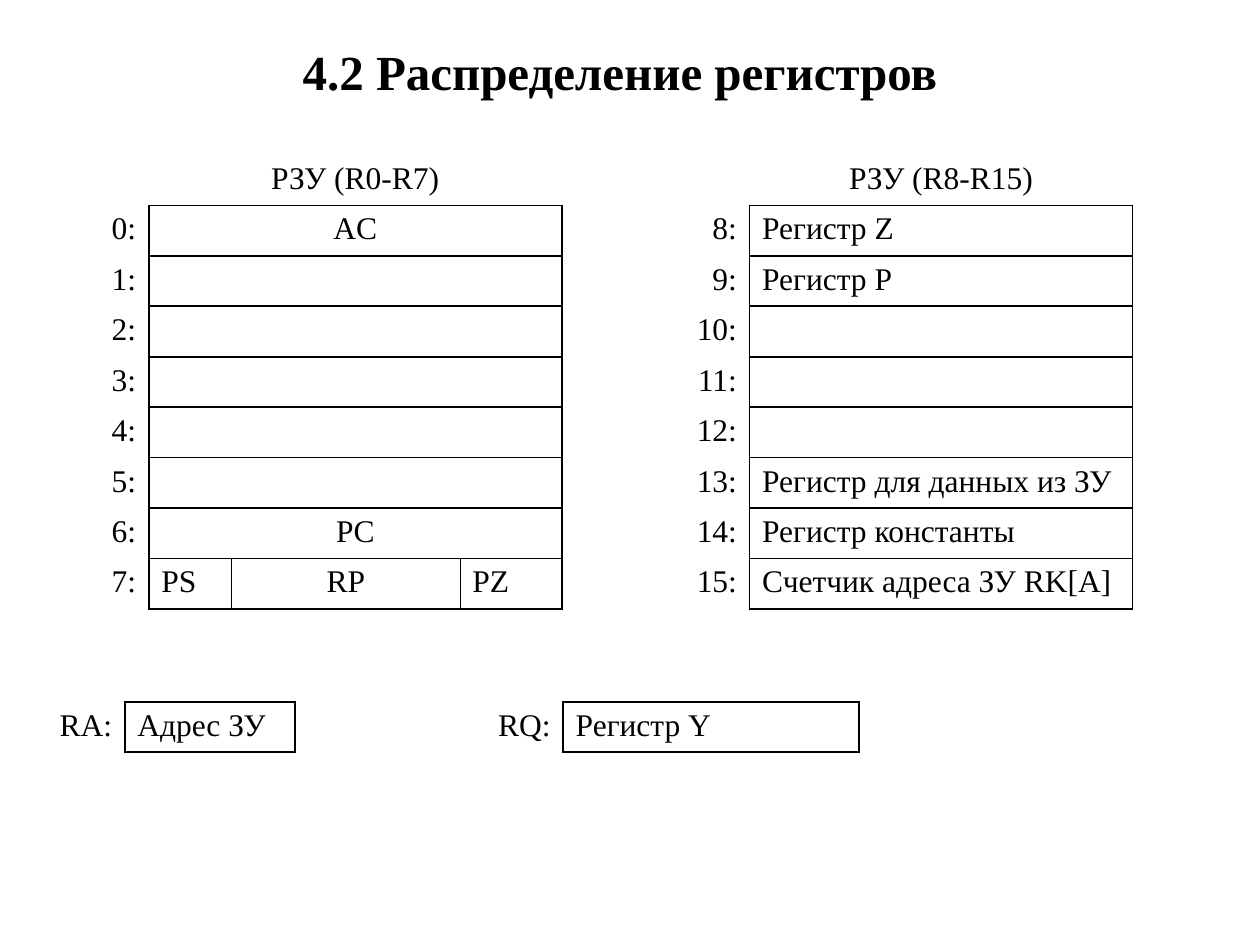
from lxml import etree
from pptx import Presentation
from pptx import util as u
from pptx.dml.color import RGBColor
from pptx.enum import text
from pptx.oxml.ns import qn

BLACK = RGBColor(0, 0, 0)
FONT = "Times New Roman"
NO_STYLE = "{2D5ABB26-0587-4C30-8999-92F81FD0307C}"
LEFT, CENTER, RIGHT = text.PP_ALIGN.LEFT, text.PP_ALIGN.CENTER, text.PP_ALIGN.RIGHT
FRAME, THIN = 1.08, 0.45

TITLE = "4.2 Распределение регистров"
BANK_HEADERS = ("РЗУ (R0-R7)", "РЗУ (R8-R15)")
LOW_BANK = ["AC", "", "", "", "", "", "PC", ("PS", "RP", "PZ")]
HIGH_BANK = ["Регистр Z", "Регистр P", "", "", "", "Регистр для данных из ЗУ",
             "Регистр константы", "Счетчик адреса ЗУ RK[A]"]
SINGLE_REGISTERS = [("RA:", "Адрес ЗУ"), ("RQ:", "Регистр Y")]

ROW_HEIGHT = 0.4
BANK_COLUMNS = [0.61, 0.66, 1.81, 0.81, 0.67, 0.82, 3.04]
SINGLE_COLUMNS = [0.62, 1.35, 1.01, 0.46, 0.66, 2.35]
LOW_LABEL, LOW_FIRST, LOW_LAST, HIGH_LABEL, HIGH_VALUE = 0, 1, 3, 5, 6
SINGLE_LABELS = (0, 4)


def write(frame, content, size=18, bold=False, align=LEFT):
    paragraph = frame.paragraphs[0]
    paragraph.alignment = align
    run = paragraph.add_run()
    run.text = content
    run.font.name = FONT
    run.font.size = u.Pt(size)
    run.font.bold = bold
    run.font.color.rgb = BLACK


def add_grid(slide, left, top, columns, row_count):
    frame = slide.shapes.add_table(row_count, len(columns), u.Inches(left), u.Inches(top),
                                   u.Inches(sum(columns)), u.Inches(ROW_HEIGHT * row_count))
    table = frame.table
    table.first_row = table.horz_banding = False
    table._tbl.tblPr.find(qn("a:tableStyleId")).text = NO_STYLE
    for column, width in zip(table.columns, columns):
        column.width = u.Inches(width)
    for row in table.rows:
        row.height = u.Inches(ROW_HEIGHT)
        for cell in row.cells:
            cell.fill.background()
    return table


def outline(cell, left=FRAME, right=FRAME):
    properties = cell._tc.get_or_add_tcPr()
    widths = {"lnL": left, "lnR": right, "lnT": FRAME, "lnB": FRAME}
    for position, (edge, width) in enumerate(widths.items()):
        line = etree.Element(qn(f"a:{edge}"), w=str(u.Pt(width)))
        fill = etree.SubElement(line, qn("a:solidFill"))
        etree.SubElement(fill, qn("a:srgbClr"), val=str(BLACK))
        properties.insert(position, line)


def fill_cell(cell, content, align=LEFT, framed=True, **edges):
    if framed:
        outline(cell, **edges)
    if content:
        write(cell.text_frame, content, align=align)


def add_register_banks(slide):
    table = add_grid(slide, 0.57, 1.23, BANK_COLUMNS, len(LOW_BANK) + 2)
    for column, header in zip((LOW_FIRST, HIGH_VALUE), BANK_HEADERS):
        fill_cell(table.cell(0, column), header, align=CENTER, framed=False)
    table.cell(0, LOW_FIRST).merge(table.cell(0, LOW_LAST))

    for number, (low, high) in enumerate(zip(LOW_BANK, HIGH_BANK)):
        row = number + 1
        for column, register in ((LOW_LABEL, number), (HIGH_LABEL, number + len(LOW_BANK))):
            fill_cell(table.cell(row, column), f"{register}:", align=RIGHT, framed=False)
        fill_cell(table.cell(row, HIGH_VALUE), high)
        if isinstance(low, tuple):
            for column, field in enumerate(low, LOW_FIRST):
                fill_cell(table.cell(row, column), field,
                          align=LEFT if column in (LOW_FIRST, LOW_LAST) else CENTER,
                          left=FRAME if column == LOW_FIRST else THIN,
                          right=FRAME if column == LOW_LAST else THIN)
        else:
            fill_cell(table.cell(row, LOW_FIRST), low, align=CENTER)
            for column in range(LOW_FIRST + 1, LOW_LAST + 1):
                outline(table.cell(row, column))
            table.cell(row, LOW_FIRST).merge(table.cell(row, LOW_LAST))


def add_single_registers(slide):
    table = add_grid(slide, 0.37, 5.57, SINGLE_COLUMNS, 1)
    for column, (label, value) in zip(SINGLE_LABELS, SINGLE_REGISTERS):
        fill_cell(table.cell(0, column), label, align=RIGHT, framed=False)
        fill_cell(table.cell(0, column + 1), value)


def main():
    presentation = Presentation()
    presentation.slide_width, presentation.slide_height = u.Inches(10), u.Inches(7.5)
    slide = presentation.slides.add_slide(presentation.slide_layouts[6])
    title = slide.shapes.add_textbox(u.Inches(0.27), u.Inches(0.21), u.Inches(9.3), u.Inches(0.71))
    title.text_frame.word_wrap = True
    title.text_frame.vertical_anchor = text.MSO_ANCHOR.MIDDLE
    write(title.text_frame, TITLE, size=28, bold=True, align=CENTER)
    add_register_banks(slide)
    add_single_registers(slide)
    presentation.save("out.pptx")


if __name__ == "__main__":
    main()
